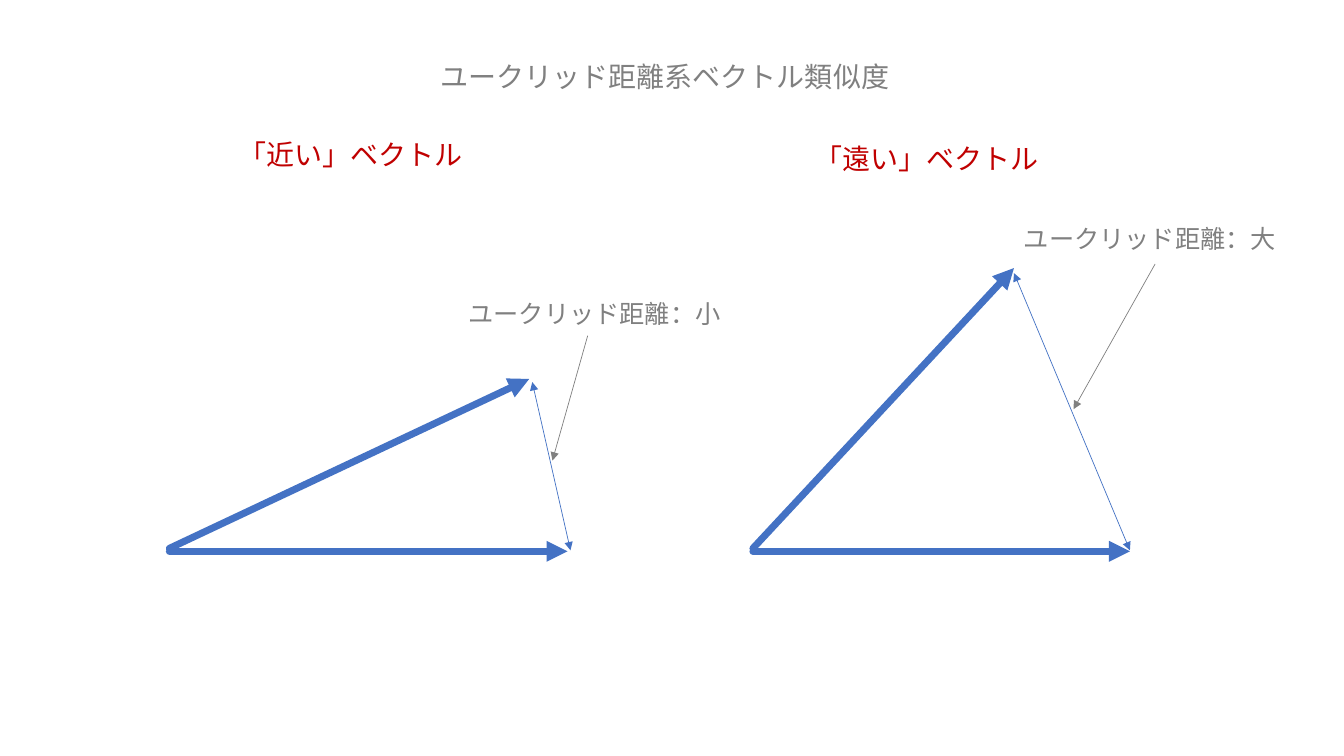
from dataclasses import dataclass

from pptx import Presentation
from pptx.dml.color import RGBColor
from pptx.enum.text import MSO_ANCHOR, MSO_AUTO_SIZE, PP_ALIGN
from pptx.oxml.ns import qn
from pptx.oxml.xmlchemy import OxmlElement
from pptx.util import Pt

COLORS = {"vector": "4472C4", "label": "808080", "heading": "C00000"}
FONT = "Noto Sans CJK JP"
BASE_Y = 393.8
ORIGIN_Y = 391.7
DISTANCE_END_Y = 393.1


@dataclass(frozen=True)
class Caption:
    """Wording with its box, text size and colour."""

    text: str
    left: float
    top: float
    width: float
    height: float
    size: float
    color: str


@dataclass(frozen=True)
class Arrow:
    """A line that ends in an arrowhead."""

    start: tuple[float, float]
    end: tuple[float, float]
    color: str
    weight: float = 0.5
    both_ends: bool = False


@dataclass(frozen=True)
class Comparison:
    """Two vectors, the distance between them and their wording."""

    heading: Caption
    distance_label: Caption
    origin_x: float
    tip: tuple[float, float]
    base_tip_x: float
    distance_start: tuple[float, float]
    distance_end_x: float
    pointer_start: tuple[float, float]
    pointer_end: tuple[float, float]


TITLE = Caption("ユークリッド距離系ベクトル類似度", 307.4, 38.9, 356.4, 31.5, 20, "label")
COMPARISONS = [
    Comparison(
        Caption("「近い」ベクトル", 163.4, 95, 203.8, 31.5, 20, "heading"),
        Caption("ユークリッド距離：小", 327.6, 209.5, 200.9, 29, 18, "label"),
        121, (378, 270.7), 405.4, (380.2, 272.9), 407.5, (419.8, 239.8), (394.6, 329),
    ),
    Comparison(
        Caption("「遠い」ベクトル", 574.6, 97.2, 197.3, 31.5, 20, "heading"),
        Caption("ユークリッド距離：大", 724.3, 156.2, 200.9, 29, 18, "label"),
        537.8, (724.3, 191.5), 807.1, (724.3, 195.1), 807.1, (825.1, 188.6), (766.8, 292.3),
    ),
]


def write_caption(holder, caption: Caption) -> None:
    """Place a text holder and fill it with one formatted run."""
    holder.left, holder.top = Pt(caption.left), Pt(caption.top)
    holder.width, holder.height = Pt(caption.width), Pt(caption.height)
    frame = holder.text_frame
    frame.word_wrap = True
    frame.auto_size = MSO_AUTO_SIZE.SHAPE_TO_FIT_TEXT
    frame.vertical_anchor = MSO_ANCHOR.TOP
    paragraph = frame.paragraphs[0]
    paragraph.alignment = PP_ALIGN.LEFT
    run = paragraph.add_run()
    run.text = caption.text
    run.font.size = Pt(caption.size)
    run.font.color.rgb = RGBColor.from_string(COLORS[caption.color])
    run.font.name = FONT
    east_asian = OxmlElement("a:ea")
    east_asian.set("typeface", FONT)
    run.font._element.find(qn("a:latin")).addnext(east_asian)


def add_caption(slide, caption: Caption) -> None:
    """Add a text box for a caption."""
    write_caption(slide.shapes.add_textbox(0, 0, 0, 0), caption)


def add_arrow(slide, arrow: Arrow) -> None:
    """Draw an arrow as a straight connector without a shadow."""
    ends = [Pt(value) for value in (*arrow.start, *arrow.end)]
    connector = slide.shapes.add_connector(1, *ends)
    connector.line.width = Pt(arrow.weight)
    connector.line.color.rgb = RGBColor.from_string(COLORS[arrow.color])
    properties = connector._element.spPr
    outline = properties.find(qn("a:ln"))
    if arrow.weight > 1:
        outline.set("cap", "rnd")
    for tag in ("a:headEnd", "a:tailEnd") if arrow.both_ends else ("a:tailEnd",):
        arrowhead = OxmlElement(tag)
        arrowhead.set("type", "triangle")
        outline.append(arrowhead)
    properties.append(OxmlElement("a:effectLst"))


def add_comparison(slide, comparison: Comparison) -> None:
    """Draw one pair of vectors with its distance and wording."""
    add_caption(slide, comparison.heading)
    add_caption(slide, comparison.distance_label)
    origin_x = comparison.origin_x
    arrows = [
        Arrow((origin_x, ORIGIN_Y), comparison.tip, "vector", 5),
        Arrow((origin_x, BASE_Y), (comparison.base_tip_x, BASE_Y), "vector", 5),
        Arrow(comparison.pointer_start, comparison.pointer_end, "label"),
        Arrow(comparison.distance_start, (comparison.distance_end_x, DISTANCE_END_Y),
              "vector", both_ends=True),
    ]
    for arrow in arrows:
        add_arrow(slide, arrow)


def main() -> None:
    """Build the slide and save it."""
    presentation = Presentation()
    presentation.slide_width, presentation.slide_height = Pt(960), Pt(540)
    slide = presentation.slides.add_slide(presentation.slide_layouts[5])
    write_caption(slide.shapes.title, TITLE)
    for comparison in COMPARISONS:
        add_comparison(slide, comparison)
    presentation.save("out.pptx")


if __name__ == "__main__":
    main()
